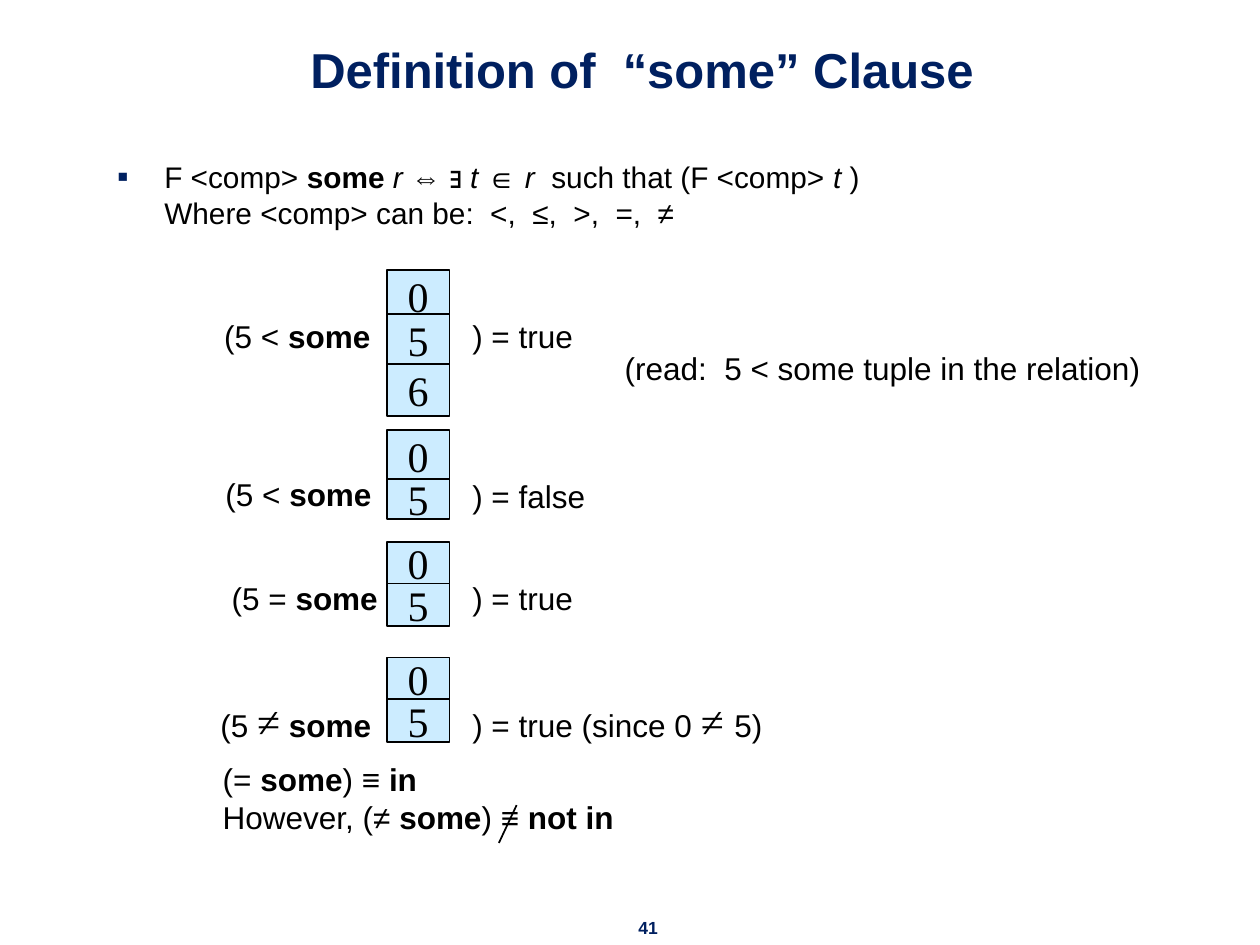
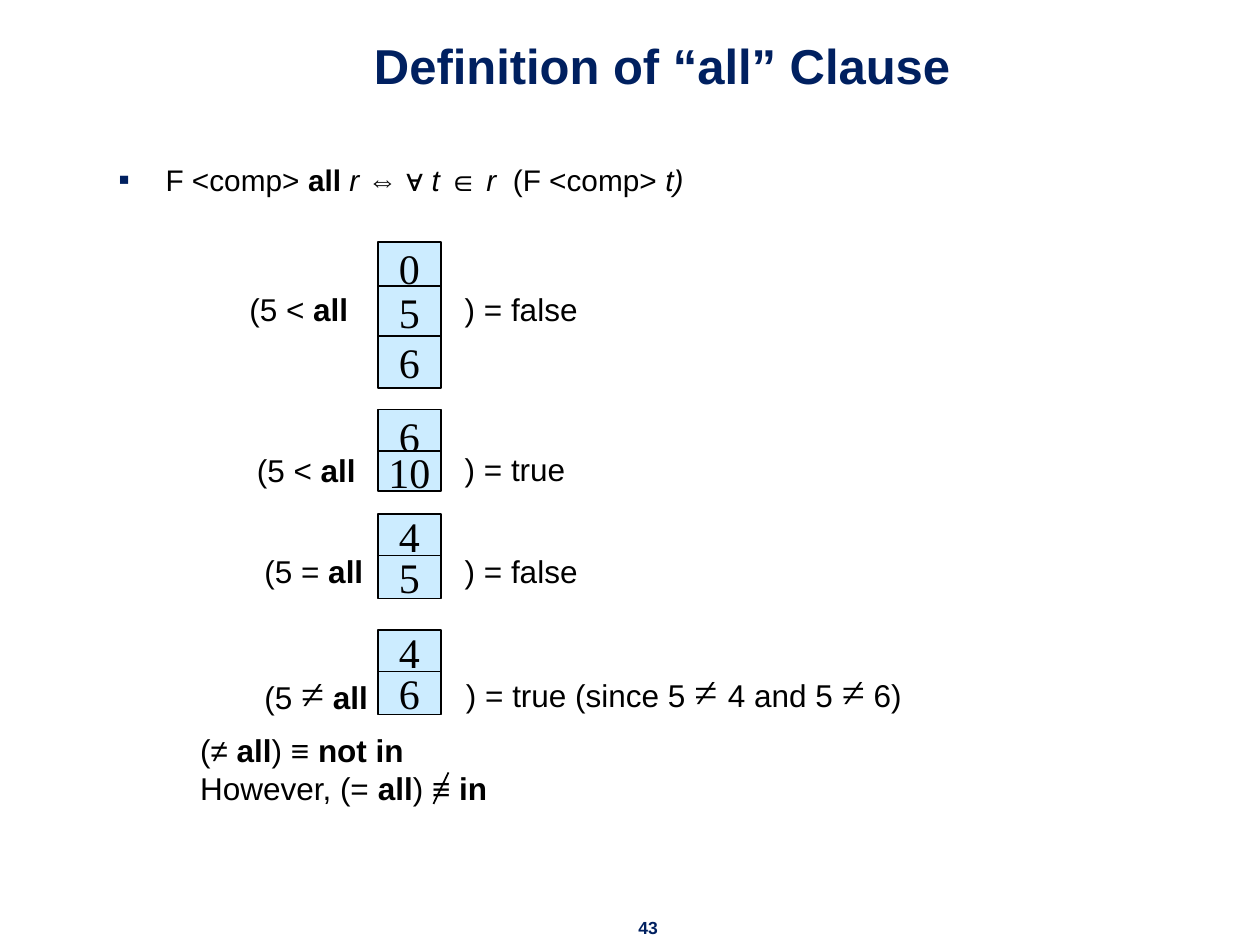
from dataclasses import dataclass

from lxml import etree
from pptx import Presentation
from pptx.dml.color import RGBColor
from pptx.enum.shapes import MSO_CONNECTOR, MSO_SHAPE
from pptx.enum.text import MSO_ANCHOR, PP_ALIGN
from pptx.oxml.ns import qn
from pptx.util import Pt

RECT = MSO_SHAPE.RECTANGLE
STRAIGHT = MSO_CONNECTOR.STRAIGHT
LEFT, CENTER = PP_ALIGN.LEFT, PP_ALIGN.CENTER
TOP, MIDDLE, BOTTOM = MSO_ANCHOR.TOP, MSO_ANCHOR.MIDDLE, MSO_ANCHOR.BOTTOM


@dataclass(frozen=True)
class Theme:
    navy: str = "002060"
    black: str = "000000"
    cell: str = "CCECFF"
    sans: str = "Arial"
    serif: str = "Times New Roman"
    title: int = 28
    body: int = 17
    example: int = 18
    value: int = 24
    footer: int = 10


T = Theme()


def add_text(s, box, paragraphs, size=T.example, font=T.sans, color=T.black, bold=False,
             align=LEFT, anchor=TOP, wrap=True, fill=None, bullet=None):
    box = [Pt(v) for v in box]
    if fill:
        sp = s.shapes.add_shape(RECT, *box)
        sp.shadow.inherit = False
        sp.fill.solid()
        sp.fill.fore_color.rgb = RGBColor.from_string(fill)
        sp.line.color.rgb = RGBColor.from_string(T.black)
        sp.line.width = Pt(1)
    else:
        sp = s.shapes.add_textbox(*box)
    tf = sp.text_frame
    tf.word_wrap = wrap
    tf.vertical_anchor = anchor
    for i, runs in enumerate(paragraphs):
        p = tf.add_paragraph() if i else tf.paragraphs[0]
        p.alignment = align
        if bullet:
            pPr = p._p.get_or_add_pPr()
            pPr.set("marL", str(Pt(27)))
            pPr.set("indent", str(Pt(-27)))
            clr = etree.SubElement(pPr, qn("a:buClr"))
            etree.SubElement(clr, qn("a:srgbClr"), val=T.navy)
            etree.SubElement(pPr, qn("a:buSzPct"), val="110000")
            etree.SubElement(pPr, qn("a:buFont"), typeface=T.sans)
            etree.SubElement(pPr, qn("a:buChar"), char=bullet)
        for text, style in runs:
            if style == "break":
                p.add_line_break()
            r = p.add_run()
            r.text = text
            r.font.name = T.serif if style == "symbol" else font
            r.font.size = Pt(T.value if style == "symbol" else size)
            r.font.bold = bold or style == "bold"
            r.font.italic = style == "italic"
            r.font.color.rgb = RGBColor.from_string(color)


CELL_HEIGHTS = [29.5] * 3 + [30.2, 23] + [24.5] * 4
NOT_EQUAL = ("≠", "symbol")
NOT_EQUAL_GAP = ("≠ ", "symbol")

slides = [
    dict(
        number="41", word="some", title="Definition of  “some” Clause",
        title_at=(49, 11.5), body_box=(59.8, 87.1, 535.7, 56.2),
        rule=[("⇔ ∃ ", ""), ("t ", "italic"), ("∈", ""), (" r  ", "italic"),
              ("such that (F <comp> ", ""), ("t ", "italic"), (")", ""),
              ("Where <comp> can be:  <,  ≤,  >,  =,  ≠", "break")],
        cell_left=221,
        cells=zip([154.1, 179.3, 208.1, 245.5, 273.6, 309.6, 333.4, 375.8, 399.6],
                  ["0", "5", "6", "0", "5", "0", "5", "0", "5"]),
        tests=[("<", (121, 177.8, 106.6)), ("<", (121.7, 267.8, 108.7)),
               ("=", (125.3, 327.6, 120.2)), ("≠", (118.8, 393.8, 113.8))],
        answers=[([(") = true", "")], (262.8, 177.8, 72)),
                 ([(") = false", "")], (262.8, 269.3, 95.8)),
                 ([(") = true", "")], (262.8, 327.6, 95.8)),
                 ([(") = true (since 0 ", ""), NOT_EQUAL_GAP, ("5)", "")],
                  (262.8, 393.8, 198)),
                 ([("(read:  5 < some tuple in the relation)", "")],
                  (349.9, 195.8, 383.8))],
        summary_at=(120.2, 430.6), summary=[("=", "in"), ("≠", "not in")],
        slash=(295.2, 460.1, 285.1, 481.7),
    ),
    dict(
        number="43", word="all", title="Definition of “all” Clause",
        title_at=(60.5, 9.4), body_box=(60.5, 88.6, 527, 30.2),
        rule=[("⇔ ∀ ", ""), ("t ", "italic"), ("∈", ""), (" r ", "italic"),
              (" (F <comp> ", ""), ("t)", "italic")],
        cell_left=216,
        cells=zip([138.2, 163.4, 192.2, 234, 257.8, 293.8, 317.5, 360, 383.8],
                  ["0", "5", "6", "6", "10", "4", "5", "4", "6"]),
        tests=[("<", (135.4, 162, 95.8)), ("<", (139.7, 254.2, 95.8)),
               ("=", (144, 311.8, 95.8)), ("≠", (144, 378, 131.8))],
        answers=[([(") = false", "")], (258.5, 162, 95.8)),
                 ([(") = true", "")], (258.5, 253.4, 95.8)),
                 ([(") = false", "")], (258.5, 311.8, 95.8)),
                 ([(") = true (since 5 ", ""), NOT_EQUAL_GAP, ("4 and 5 ", ""),
                   NOT_EQUAL, (" 6)", "")], (259.2, 376.6, 360))],
        summary_at=(107.3, 414), summary=[("≠", "not in"), ("=", "in")],
        slash=(256.3, 441.4, 247.7, 459.4),
    ),
]

prs = Presentation()
prs.slide_width, prs.slide_height = Pt(720), Pt(540)

for d in slides:
    s = prs.slides.add_slide(prs.slide_layouts[6])
    word = d["word"]

    add_text(s, (357.1, 520.6, 26.6, 19.4), [[(d["number"], "")]], size=T.footer,
             color=T.navy, bold=True, align=CENTER, wrap=False)
    add_text(s, (*d["title_at"], 635.8, 48.2), [[(d["title"], "")]], size=T.title,
             color=T.navy, bold=True, align=CENTER, anchor=BOTTOM)
    clause = [("F <comp> ", ""), (word + " ", "bold"), ("r ", "italic")]
    add_text(s, d["body_box"], [clause + d["rule"]], size=T.body, bullet="▪")

    for (top, value), height in zip(d["cells"], CELL_HEIGHTS):
        add_text(s, (d["cell_left"], top, 36, height), [[(value, "")]], size=T.value,
                 font=T.serif, align=CENTER, anchor=MIDDLE, wrap=False, fill=T.cell)

    for sign, box in d["tests"]:
        if sign == "≠":
            runs = [("(5 ", ""), NOT_EQUAL, (" ", "")]
        else:
            runs = [(f"(5 {sign} ", "")]
        add_text(s, (*box, 36 if sign == "≠" else 28.8), [runs + [(word, "bold")]])
    for runs, box in d["answers"]:
        add_text(s, (*box, 36 if len(runs) > 1 else 28.8), [runs])

    summary = [[(f"{lead}({sign} ", ""), (word, "bold"), (") ≡ ", ""), (meaning, "bold")]
               for lead, (sign, meaning) in zip(["", "However, "], d["summary"])]
    add_text(s, (*d["summary_at"], 535.7, 56.2), summary)

    slash = s.shapes.add_connector(STRAIGHT, *[Pt(v) for v in d["slash"]])
    slash.line.color.rgb = RGBColor.from_string(T.black)
    slash.line.width = Pt(1)
    etree.SubElement(slash._element.spPr, qn("a:effectLst"))

prs.save("out.pptx")
